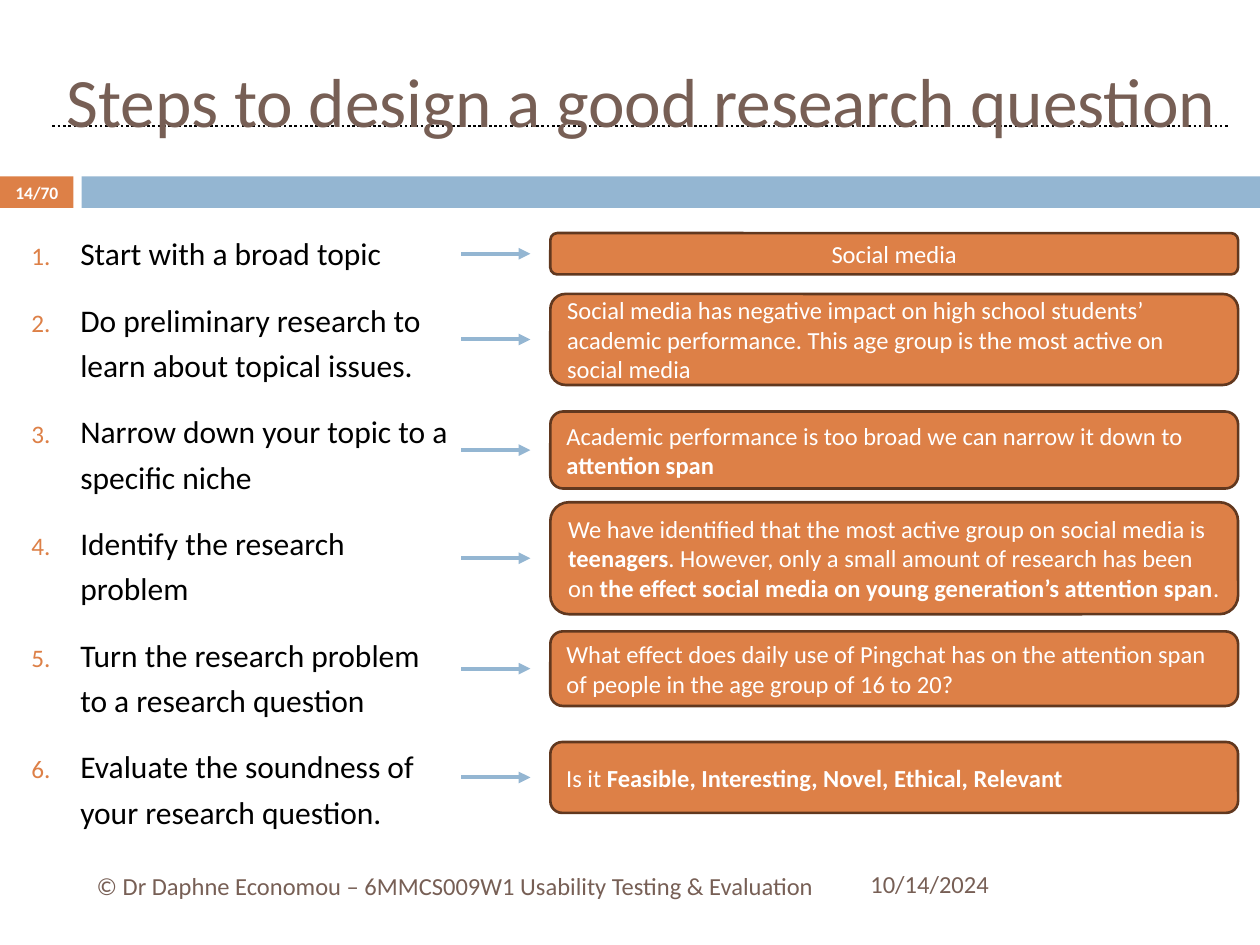
from lxml import etree
from pptx import Presentation
from pptx import util as u
from pptx.dml.color import RGBColor
from pptx.enum import dml, shapes, text
from pptx.oxml import ns

Pt = u.Pt
ORANGE, BLUE, BROWN, WHITE, BLACK = "DD8047", "94B6D2", "775F55", "FFFFFF", "000000"
OUTLINE = "61381F"
LEFT, CENTER = text.PP_ALIGN.LEFT, text.PP_ALIGN.CENTER


def color(hex_value):
    return RGBColor.from_string(hex_value)


def add_xml(parent, tag, **attrs):
    return etree.SubElement(parent, ns.qn(tag), attrs)


class Deck:
    """Holds the text style and the slide being built; lengths are in points."""

    font = "Calibri"

    def __init__(self, prs):
        self.s = prs.slides.add_slide(prs.slide_layouts[6])

    def add_runs(self, p, runs, size, hex_value):
        """Add (text, bold) runs to a paragraph."""
        for words, bold in runs:
            r = p.add_run()
            r.text = words
            r.font.name = self.font
            r.font.size = Pt(size)
            r.font.bold = bold
            r.font.color.rgb = color(hex_value)

    def frame(self, sp, anchor=text.MSO_ANCHOR.MIDDLE):
        tf = sp.text_frame
        tf.word_wrap = True
        tf.vertical_anchor = anchor
        return tf

    def label(self, box, words, size, hex_value, bold=False, align=LEFT):
        sp = self.s.shapes.add_textbox(*map(Pt, box))
        p = self.frame(sp).paragraphs[0]
        p.alignment = align
        self.add_runs(p, [(words, bold)], size, hex_value)

    def block(self, box, fill, kind=shapes.MSO_SHAPE.RECTANGLE, outline=None):
        sp = self.s.shapes.add_shape(kind, *map(Pt, box))
        sp.shadow.inherit = False
        sp.fill.solid()
        sp.fill.fore_color.rgb = color(fill)
        if outline:
            sp.line.color.rgb = color(outline)
            sp.line.width = Pt(1.5)
        else:
            sp.line.fill.background()
        return sp

    def card(self, box, runs, align):
        sp = self.block(box, ORANGE, shapes.MSO_SHAPE.ROUNDED_RECTANGLE, OUTLINE)
        p = self.frame(sp).paragraphs[0]
        p.alignment = align
        self.add_runs(p, runs, 14, WHITE)

    def line(self, x1, x2, y, hex_value, width, dash=None, arrow=False):
        """Draw a horizontal line, optionally dashed or ending in an arrowhead."""
        c = self.s.shapes.add_connector(
            shapes.MSO_CONNECTOR.STRAIGHT, Pt(x1), Pt(y), Pt(x2), Pt(y))
        c.line.color.rgb = color(hex_value)
        c.line.width = Pt(width)
        if dash:
            c.line.dash_style = dash
        spPr = c.element.spPr
        if arrow:
            add_xml(spPr.find(ns.qn("a:ln")), "a:tailEnd", type="triangle")
        add_xml(spPr, "a:effectLst")

    def numbered_list(self, box, items):
        tf = self.frame(self.s.shapes.add_textbox(*map(Pt, box)), text.MSO_ANCHOR.TOP)
        for i, item in enumerate(items):
            p = tf.add_paragraph() if i else tf.paragraphs[0]
            p.line_spacing = 1.2
            if i:
                p.space_before = Pt(12)
            pPr = p._p.get_or_add_pPr()
            pPr.set("marL", str(Pt(28)))
            pPr.set("indent", str(-Pt(28)))
            add_xml(add_xml(pPr, "a:buClr"), "a:srgbClr", val=ORANGE)
            add_xml(pPr, "a:buSzPct", val="80000")
            add_xml(pPr, "a:buFont", typeface=self.font)
            add_xml(pPr, "a:buAutoNum", type="arabicPeriod")
            self.add_runs(p, [(item, False)], 18, BLACK)


STEPS = [
    "Start with a broad topic",
    "Do preliminary research to learn about topical issues.",
    "Narrow down your topic to a specific niche",
    "Identify the research problem",
    "Turn the research problem to a research question",
    "Evaluate the soundness of your research question.",
]

# top, height, alignment, runs of (text, bold)
EXAMPLES = [
    (133.2, 23.6, CENTER, [("Social media", False)]),
    (168, 52, LEFT, [
        ("Social media has negative impact on high school students’ academic "
         "performance. This age group is the most active on social media", False)]),
    (235.2, 44, LEFT, [
        ("Academic performance is too broad we can narrow it down to ", False),
        ("attention span", True)]),
    (287, 64, LEFT, [
        ("We have identified that the most active group on social media is ", False),
        ("teenagers", True),
        (". However, only a small amount of research has been on ", False),
        ("the effect social media on young generation’s attention span", True),
        (".", False)]),
    (360.8, 42.6, LEFT, [
        ("What effect does daily use of Pingchat has on the attention span "
         "of people in the age group of 16 to 20?", False)]),
    (424, 40.5, LEFT, [
        ("Is it ", False),
        ("Feasible, Interesting, Novel, Ethical, Relevant", True)]),
]


def main():
    prs = Presentation()
    prs.slide_width, prs.slide_height = Pt(720), Pt(540)
    deck = Deck(prs)

    deck.block((0, 100.8, 42, 18), ORANGE)
    deck.block((46.6, 100.8, 673.4, 18), BLUE)
    deck.line(30, 702, 72, BLACK, 1.5, dash=dml.MSO_LINE.ROUND_DOT)
    deck.label((31, 18, 686, 78), "Steps to design a good research question", 39.6, BROWN)
    deck.label((0, 100.1, 42, 19.4), "14/70", 10, WHITE, bold=True, align=CENTER)

    deck.numbered_list((10.8, 126, 253, 389.5), STEPS)
    for top, height, align, runs in EXAMPLES:
        deck.card((314.5, top, 393, height), runs, align)
        deck.line(263.5, 303.1, top + height / 2, BLUE, 2.25, arrow=True)

    deck.label((48.2, 491.8, 427, 28.8),
               "© Dr Daphne Economou – 6MMCS009W1 Usability Testing & Evaluation", 14, BROWN)
    deck.label((490.3, 490.3, 210, 28.8), "10/14/2024", 14, BROWN)
    prs.save("out.pptx")


if __name__ == "__main__":
    main()
